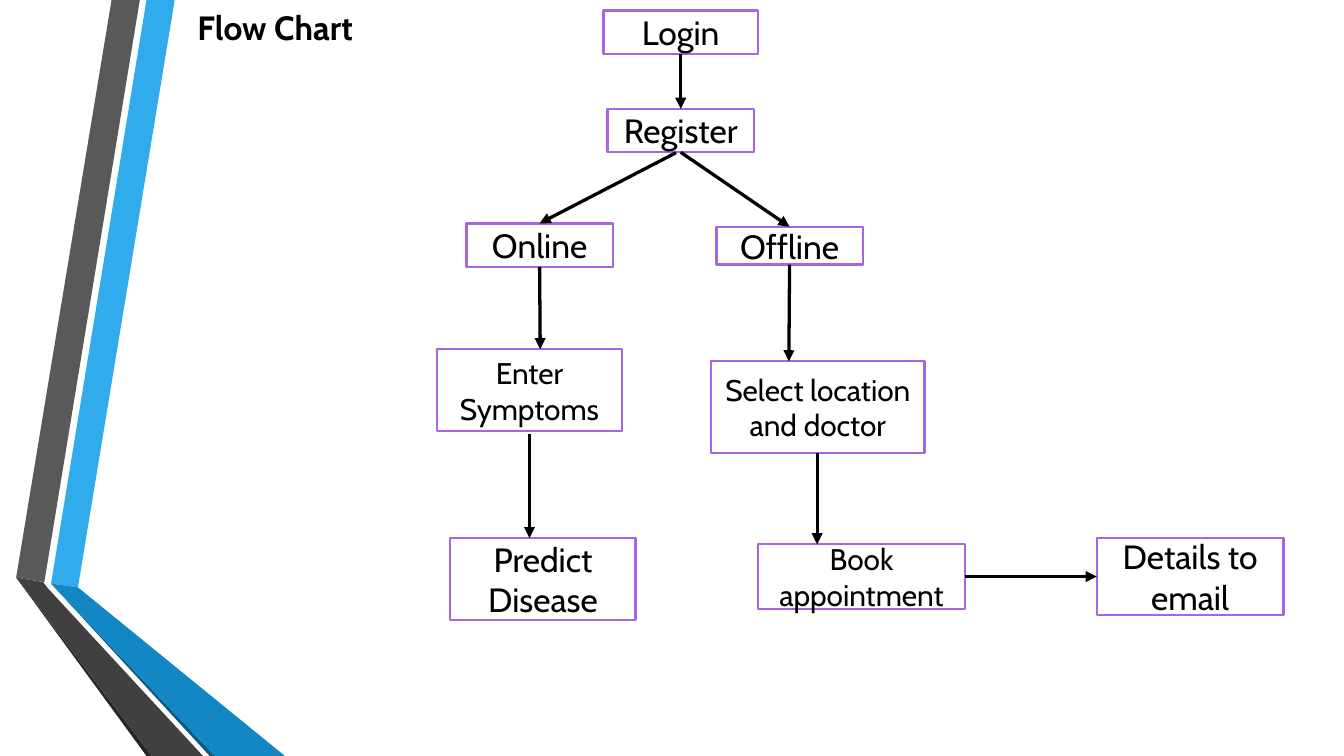
from lxml.etree import SubElement
from pptx import Presentation
from pptx.dml.color import RGBColor
from pptx.enum.shapes import MSO_CONNECTOR, MSO_SHAPE
from pptx.enum.text import MSO_ANCHOR, MSO_AUTO_SIZE, PP_ALIGN
from pptx.oxml.ns import qn
from pptx.util import Inches, Pt

THEME = {
    "font": "Cabin", "text": "000000", "large": 18, "small": 16,
    "box": "FFFFFF", "border": "A666E1", "border_pt": 1.25,
    "arrow": "000000", "arrow_pt": 1.75,
    "blue": "30ACEC", "blue_dark": "1287C3", "blue_edge": "0C5A82",
    "grey": "595959", "grey_dark": "404040", "grey_edge": "262626",
}
WIDTH, HEIGHT = Inches(10), Inches(5.625)
TOP, LEFT, BOTTOM, RIGHT = range(4)

# All positions are percentages of the slide's width and height.
RIBBONS = [
    ("blue", [(3.8, 77.2), (5.8, 77.7), (13, 0), (10.9, 0)]),
    ("grey", [(10.4, 0), (8.3, 0), (1.2, 76.4), (3.3, 77)]),
    ("grey_edge", [(1.2, 76.4), (10.9, 100), (11.3, 100)]),
    ("blue_edge", [(3.8, 77.2), (15.6, 100), (16, 100)]),
    ("blue_dark", [(3.8, 77.2), (16, 100), (21.2, 100), (5.8, 77.7)]),
    ("grey_dark", [(15.1, 100), (3.6, 77.9), (3.2, 77), (1.2, 76.4), (11.3, 100)]),
]
TITLE = ("Flow Chart", (13.7, 0, 13.8, 7.1))
STEPS = [
    ("Login", "large", (44.9, 1.4, 11.5, 5.75)),
    ("Register", "large", (45.2, 14.4, 10.9, 5.75)),
    ("Offline", "large", (53.3, 30, 10.9, 5)),
    ("Online", "large", (34.7, 29.55, 10.9, 5.75)),
    ("Predict Disease", "large", (33.5, 71.2, 13.8, 10.85)),
    ("Enter Symptoms", "small", (32.5, 46.2, 13.8, 10.85)),
    ("Details to email", "large", (81.6, 71.2, 13.9, 10.15)),
    ("Select location and doctor", "small", (52.9, 47.8, 15.9, 12.1)),
    ("Book appointment", "small", (56.4, 72, 15.4, 8.55)),
]
# An arrow's end is a step and one of its sides, or a free point.
ARROWS = [
    (("Login", BOTTOM), ("Register", TOP)),
    (("Register", BOTTOM), ("Offline", TOP)),
    ((50.3, 20.2), ("Online", TOP)),
    (("Offline", BOTTOM), (58.7, 47.8)),
    (("Online", BOTTOM), (40.2, 46.2)),
    ((39.4, 57.4), (39.4, 71.2)),
    ((60.8, 59.9), (60.8, 72)),
    (("Book appointment", RIGHT), ("Details to email", LEFT)),
]


def color(name):
    return RGBColor.from_string(THEME[name])


def point(x, y):
    """Turn percentages of the slide into lengths."""
    return round(WIDTH * x / 100), round(HEIGHT * y / 100)


def frame(x, y, w, h):
    return *point(x, y), *point(w, h)


def write(tf, text, size, bold=False):
    tf.text = text
    tf.word_wrap = True
    font = tf.paragraphs[0].runs[0].font
    font.name, font.size, font.bold = THEME["font"], Pt(THEME[size]), bold
    font.color.rgb = color("text")


def add_ribbon(shapes, fill, corners):
    start, *rest = [point(*c) for c in corners]
    builder = shapes.build_freeform(*start)
    builder.add_line_segments(rest, close=True)
    s = builder.convert_to_shape()
    s.shadow.inherit = False
    s.fill.solid()
    s.fill.fore_color.rgb = color(fill)
    s.line.fill.background()


def add_step(shapes, text, size, place):
    s = shapes.add_shape(MSO_SHAPE.RECTANGLE, *frame(*place))
    s.shadow.inherit = False
    s.fill.solid()
    s.fill.fore_color.rgb = color("box")
    s.line.color.rgb = color("border")
    s.line.width = Pt(THEME["border_pt"])
    write(s.text_frame, text, size)
    s.text_frame.vertical_anchor = MSO_ANCHOR.MIDDLE
    s.text_frame.paragraphs[0].alignment = PP_ALIGN.CENTER
    return s


def add_arrow(shapes, steps, start, end):
    ends = [(0, 0) if e[0] in steps else point(*e) for e in (start, end)]
    c = shapes.add_connector(MSO_CONNECTOR.STRAIGHT, *ends[0], *ends[1])
    for (target, side), connect in ((start, c.begin_connect), (end, c.end_connect)):
        if target in steps:
            connect(steps[target], side)
    c.line.color.rgb = color("arrow")
    c.line.width = Pt(THEME["arrow_pt"])
    SubElement(c.line._get_or_add_ln(), qn("a:tailEnd"), type="triangle")
    SubElement(c._element.spPr, qn("a:effectLst"))


def main():
    prs = Presentation()
    prs.slide_width, prs.slide_height = WIDTH, HEIGHT
    shapes = prs.slides.add_slide(prs.slide_layouts[6]).shapes

    for ribbon in RIBBONS:
        add_ribbon(shapes, *ribbon)
    steps = {step[0]: add_step(shapes, *step) for step in STEPS}

    text, place = TITLE
    tf = shapes.add_textbox(*frame(*place)).text_frame
    write(tf, text, "large", bold=True)
    tf.auto_size = MSO_AUTO_SIZE.SHAPE_TO_FIT_TEXT

    for start, end in ARROWS:
        add_arrow(shapes, steps, start, end)
    prs.save("out.pptx")


if __name__ == "__main__":
    main()
